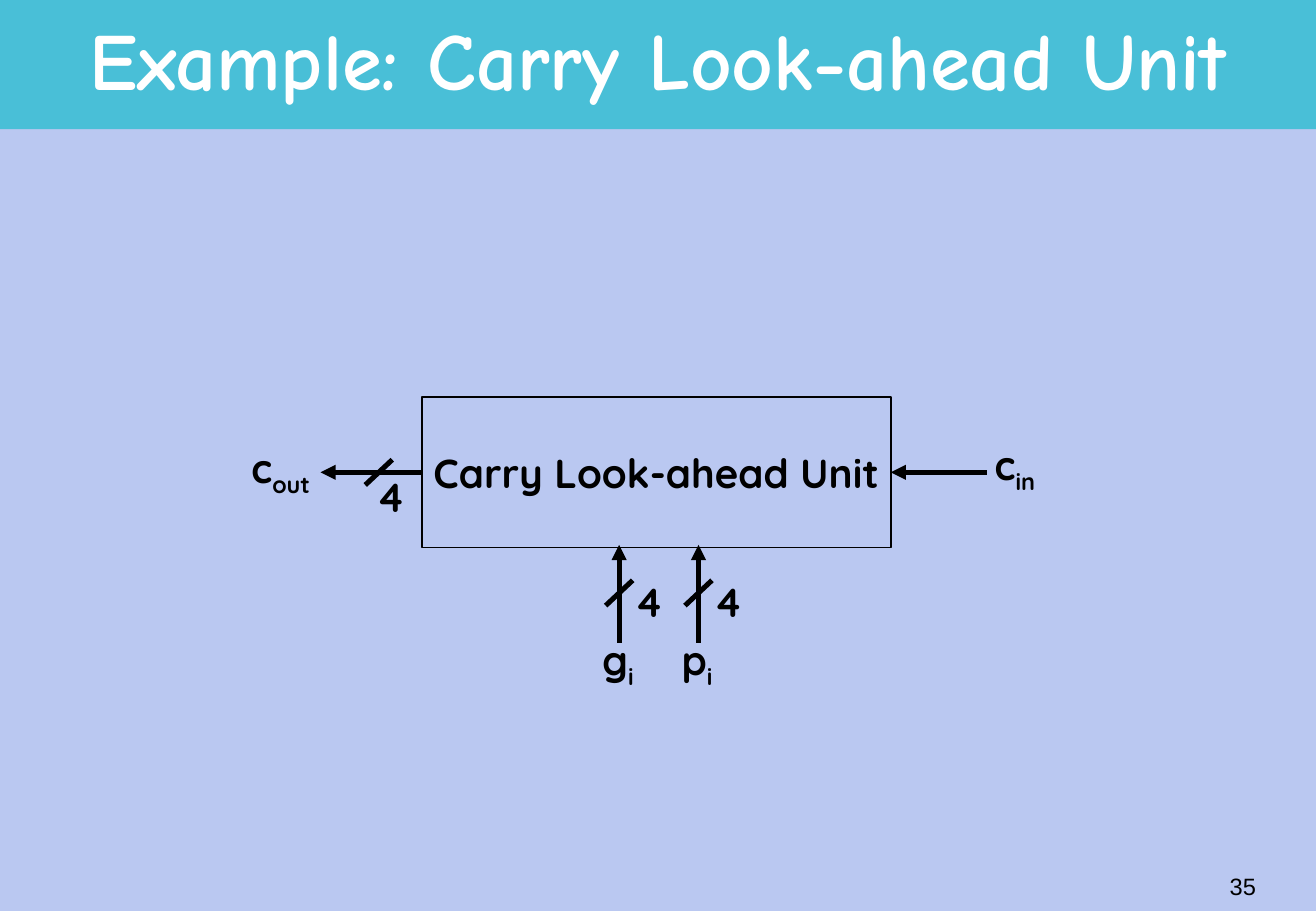
from lxml import etree
from pptx import Presentation
from pptx.dml.color import RGBColor
from pptx.enum import shapes, text
from pptx.oxml import ns
from pptx.util import Pt

INK, PAPER, BANNER, WHITE = "000000", "BAC8F1", "49BFD7", "FFFFFF"
WIDTH, HEIGHT = 780, 540


def write(frame, content, size=24, font="Quicksand", bold=True, color=INK, subscript=False):
    """Add one formatted run to the first paragraph of a frame."""
    span = frame.paragraphs[0].add_run()
    span.text = content
    span.font.size, span.font.name, span.font.bold = Pt(size), font, bold
    span.font.color.rgb = RGBColor.from_string(color)
    if subscript:
        span._r.get_or_add_rPr().set("baseline", "-25000")


def draw_line(x1, y1, x2, y2, arrow=False):
    line = page.shapes.add_connector(
        shapes.MSO_CONNECTOR.STRAIGHT, Pt(x1), Pt(y1), Pt(x2), Pt(y2))
    line.line.width = Pt(3)
    line.line.color.rgb = RGBColor.from_string(INK)
    if arrow:
        etree.SubElement(line.line._get_or_add_ln(), ns.qn("a:tailEnd"), type="triangle")
    etree.SubElement(line._element.spPr, ns.qn("a:effectLst"))
    return line


deck = Presentation()
deck.slide_width, deck.slide_height = Pt(WIDTH), Pt(HEIGHT)
page = deck.slides.add_slide(deck.slide_layouts[5])
page.background.fill.solid()
page.background.fill.fore_color.rgb = RGBColor.from_string(PAPER)

# Banner and title
banner = page.shapes.add_shape(shapes.MSO_SHAPE.RECTANGLE, 0, 0, Pt(WIDTH), Pt(76.5))
banner.shadow.inherit = False
banner.fill.solid()
banner.fill.fore_color.rgb = RGBColor.from_string(BANNER)
banner.line.fill.background()
page.shapes._spTree.insert(2, banner._element)

title = page.shapes.title
title.left, title.top, title.width, title.height = 0, Pt(3.5), Pt(WIDTH), Pt(71)
title.text_frame.auto_size = text.MSO_AUTO_SIZE.NONE
title.text_frame.vertical_anchor = text.MSO_ANCHOR.MIDDLE
title.text_frame.paragraphs[0].alignment = text.PP_ALIGN.CENTER
title.text_frame.paragraphs[0].line_spacing = 0.85
write(title.text_frame, "Example: Carry Look-ahead Unit", 48, "Comic Neue", color=WHITE)

# Carry look-ahead unit
unit_left, unit_top, unit_width, unit_height = 250, 235.5, 278, 89
unit_right, unit_bottom = unit_left + unit_width, unit_top + unit_height
carry_y = unit_top + unit_height / 2
unit = page.shapes.add_shape(shapes.MSO_SHAPE.RECTANGLE, Pt(unit_left), Pt(unit_top),
                             Pt(unit_width), Pt(unit_height))
unit.shadow.inherit = False
unit.fill.solid()
unit.fill.fore_color.rgb = RGBColor.from_string(PAPER)
unit.line.color.rgb = RGBColor.from_string(INK)
unit.line.width = Pt(1)
unit.text_frame.word_wrap = False
unit.text_frame.vertical_anchor = text.MSO_ANCHOR.MIDDLE
unit.text_frame.paragraphs[0].alignment = text.PP_ALIGN.CENTER
write(unit.text_frame, "Carry Look-ahead Unit")

# Carry arrows
carry_in = draw_line(585, carry_y, unit_right, carry_y, arrow=True)
carry_in.end_connect(unit, 3)
carry_out = draw_line(unit_left, carry_y, 190, carry_y, arrow=True)
carry_out.begin_connect(unit, 1)

# Each label: left, top, width, letter, subscript
labels = [(582.5, 257, 44.5, "c", "in"), (142, 259, 56, "c", "out"), (216, 276.5, 29, "4", "")]
slashes = [(224.5, carry_y)]
for bus_x, letter in ((367, "g"), (414, "p")):
    draw_line(bus_x, 381, bus_x, unit_bottom - 1.5, arrow=True)
    slashes.append((bus_x, 351.5))
    labels += [(bus_x - 17, 373, 35, letter, "i"), (bus_x + 2, 338.5, 29, "4", "")]

for x, y in slashes:
    draw_line(x + 8, y - 7.5, x - 8, y + 7.5)

for left, top, width, letter, index in labels:
    box = page.shapes.add_textbox(Pt(left), Pt(top), Pt(width), Pt(39.5))
    box.text_frame.word_wrap = False
    box.text_frame.auto_size = text.MSO_AUTO_SIZE.SHAPE_TO_FIT_TEXT
    write(box.text_frame, letter)
    if index:
        write(box.text_frame, index, subscript=True)

# Page number
number = page.shapes.add_textbox(Pt(589), Pt(507.5), Pt(162.5), Pt(36))
number.text_frame.word_wrap = False
number.text_frame.vertical_anchor = text.MSO_ANCHOR.MIDDLE
number.text_frame.paragraphs[0].alignment = text.PP_ALIGN.RIGHT
write(number.text_frame, "35", 14, "Arial", bold=False)

deck.save("out.pptx")
